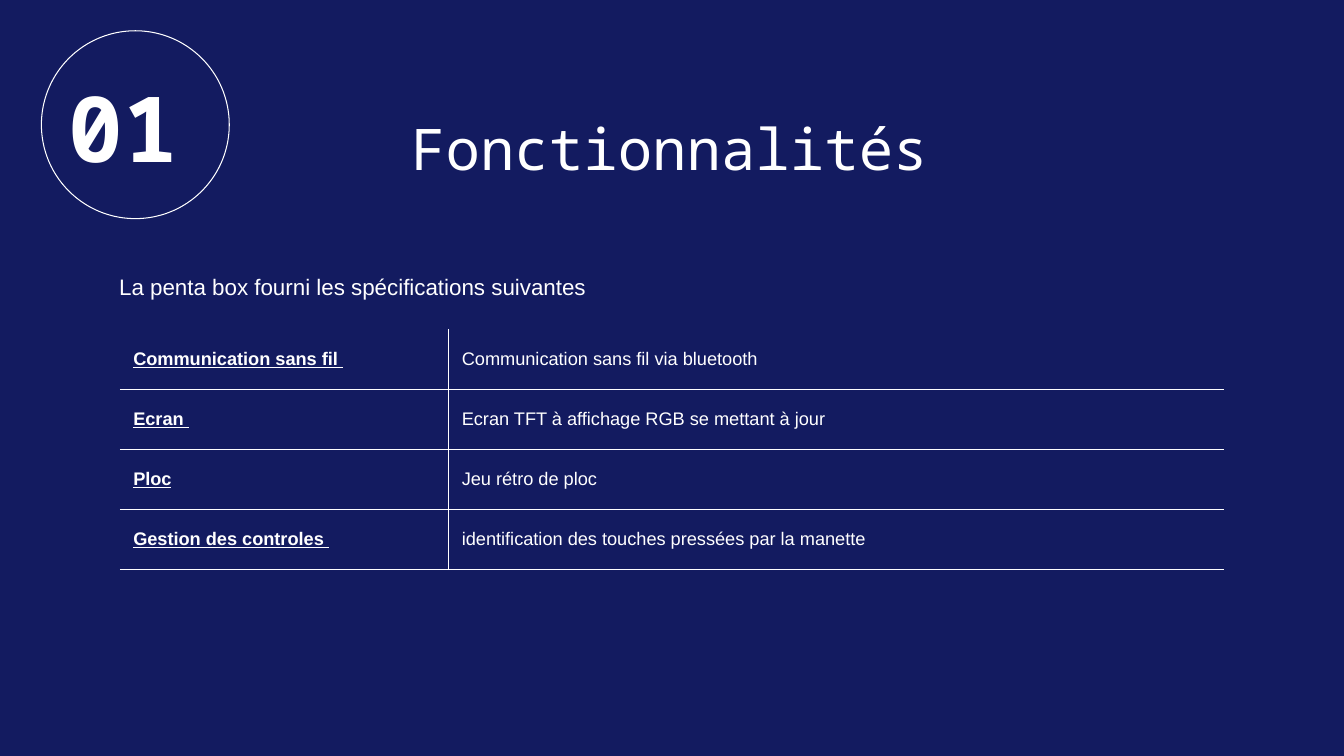
from dataclasses import dataclass

from lxml.etree import SubElement
from pptx import Presentation
from pptx.dml.color import RGBColor
from pptx.enum.shapes import MSO_SHAPE
from pptx.enum.text import MSO_ANCHOR, MSO_AUTO_SIZE, PP_ALIGN
from pptx.oxml.ns import qn
from pptx.util import Pt


@dataclass(frozen=True)
class Theme:
    navy: str = "131B60"
    white: str = "FFFFFF"
    heading_font: str = "Noto Sans Mono"
    body_font: str = "Arial"
    title_size: float = 41
    number_size: float = 65
    intro_size: float = 16
    table_size: float = 13
    line_width: float = 0.75
    inset: float = 9.5


THEME = Theme()

FEATURES = [
    ("Communication sans fil ", "Communication sans fil via bluetooth"),
    ("Ecran ", "Ecran TFT à affichage RGB se mettant à jour"),
    ("Ploc", "Jeu rétro de ploc"),
    ("Gestion des controles ", "identification des touches pressées par la manette "),
]


def write(frame, text, *, size, font=THEME.body_font, bold=False,
          underline=False, align=PP_ALIGN.LEFT):
    paragraph = frame.paragraphs[0]
    paragraph.alignment = align
    run = paragraph.add_run()
    run.text = text
    run.font.name = font
    run.font.size = Pt(size)
    run.font.bold = bold
    run.font.underline = underline
    run.font.color.rgb = RGBColor.from_string(THEME.white)


def set_frame(frame, anchor=MSO_ANCHOR.TOP, right_inset=THEME.inset):
    frame.word_wrap = True
    frame.auto_size = MSO_AUTO_SIZE.NONE
    frame.vertical_anchor = anchor
    frame.margin_left = frame.margin_top = frame.margin_bottom = Pt(THEME.inset)
    frame.margin_right = Pt(right_inset)


def add_title(slide, text):
    title = slide.shapes.title
    title.left, title.top, title.width, title.height = (
        Pt(85.7), Pt(71.3), Pt(810), Pt(60.5))
    set_frame(title.text_frame)
    write(title.text_frame, text, size=THEME.title_size,
          font=THEME.heading_font, align=PP_ALIGN.CENTER)


def add_label(slide, text, left, top, width, height,
              anchor=MSO_ANCHOR.TOP, right_inset=THEME.inset, **style):
    label = slide.shapes.add_textbox(Pt(left), Pt(top), Pt(width), Pt(height))
    set_frame(label.text_frame, anchor, right_inset)
    write(label.text_frame, text, **style)


def add_ring(slide, left, top, diameter):
    ring = slide.shapes.add_shape(
        MSO_SHAPE.OVAL, Pt(left), Pt(top), Pt(diameter), Pt(diameter))
    ring.shadow.inherit = False
    ring.fill.background()
    ring.line.color.rgb = RGBColor.from_string(THEME.white)
    ring.line.width = Pt(THEME.line_width)


def set_borders(cell, visible):
    """Draw the visible sides of a cell and clear the others."""
    properties = cell._tc.get_or_add_tcPr()
    for side in "LRTB":
        line = SubElement(properties, qn(f"a:ln{side}"),
                          w=str(Pt(THEME.line_width)))
        if side in visible:
            fill = SubElement(line, qn("a:solidFill"))
            SubElement(fill, qn("a:srgbClr"), val=THEME.white)
        else:
            SubElement(line, qn("a:noFill"))


def add_feature_table(slide, left, top, column_widths, row_height):
    table = slide.shapes.add_table(
        len(FEATURES), len(column_widths), Pt(left), Pt(top),
        Pt(sum(column_widths)), Pt(row_height * len(FEATURES))).table
    table.first_row = table.horz_banding = False
    for column, width in zip(table.columns, column_widths):
        column.width = Pt(width)
    for row_index, feature in enumerate(FEATURES):
        table.rows[row_index].height = Pt(row_height)
        for column_index, text in enumerate(feature):
            is_name = column_index == 0
            cell = table.cell(row_index, column_index)
            cell.vertical_anchor = MSO_ANCHOR.MIDDLE
            cell.margin_left = cell.margin_right = Pt(THEME.inset)
            cell.margin_top = cell.margin_bottom = 0
            # Rules under each row and between the two columns
            inner_sides = "R" if is_name else "L"
            set_borders(cell, inner_sides + ("TB" if row_index else "B"))
            cell.fill.background()
            write(cell.text_frame, text, size=THEME.table_size,
                  bold=is_name, underline=is_name)


def main():
    presentation = Presentation()
    presentation.slide_width, presentation.slide_height = Pt(960), Pt(540)
    slide = presentation.slides.add_slide(presentation.slide_layouts[5])
    slide.background.fill.solid()
    slide.background.fill.fore_color.rgb = RGBColor.from_string(THEME.navy)

    # Heading
    add_title(slide, "Fonctionnalités ")

    # Features and their introduction
    add_feature_table(slide, 85.7, 235, (234.7, 554), 42.9)
    add_label(slide, "La penta box fourni les spécifications suivantes",
              75.6, 185.8, 808.6, 38.9, right_inset=0, size=THEME.intro_size)

    # Section number in its ring
    add_ring(slide, 29.6, 22, 134.2)
    add_label(slide, "01", 39.6, 40.3, 113.8, 98.6, anchor=MSO_ANCHOR.BOTTOM,
              size=THEME.number_size, font=THEME.heading_font, bold=True)

    presentation.save("out.pptx")


if __name__ == "__main__":
    main()
